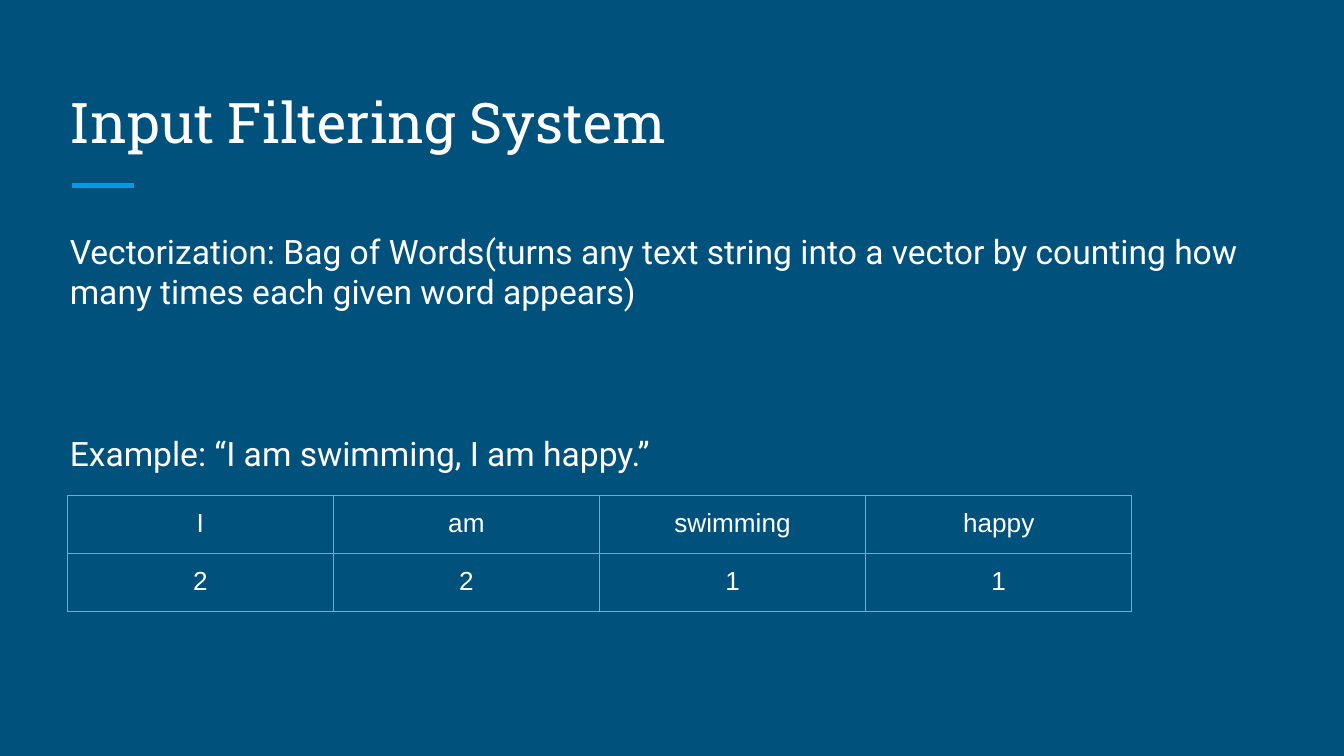
from dataclasses import dataclass

from lxml import etree
from pptx import Presentation
from pptx.dml.color import RGBColor
from pptx.enum.shapes import MSO_CONNECTOR
from pptx.enum.text import MSO_ANCHOR, PP_ALIGN
from pptx.oxml.ns import qn
from pptx.util import Cm, Pt

STRAIGHT = MSO_CONNECTOR.STRAIGHT
TOP, BOTTOM = MSO_ANCHOR.TOP, MSO_ANCHOR.BOTTOM
CENTER = PP_ALIGN.CENTER


@dataclass(frozen=True)
class Theme:
    background = RGBColor.from_string("00517C")
    text = RGBColor.from_string("FFFFFF")
    accent = RGBColor.from_string("039BE5")
    border = "9E9E9E"
    border_width = Pt(0.75)
    inset = Cm(0.25)
    title = {"name": "Roboto Slab", "size": Pt(30)}
    body = {"name": "Roboto", "size": Pt(18)}
    cell = {"name": "Arial", "size": Pt(14)}


THEME = Theme()


def set_insets(target):
    for side in ("left", "top", "right", "bottom"):
        setattr(target, f"margin_{side}", THEME.inset)


def write(p, text, style):
    r = p.add_run()
    r.text = text
    for name, value in style.items():
        setattr(r.font, name, value)
    r.font.color.rgb = THEME.text


def add_text(slide, box, paragraphs, style, anchor=TOP, gap=Pt(0)):
    """Place paragraphs in a box, with the gap before each one but the first."""
    tf = slide.shapes.add_textbox(*box).text_frame
    tf.word_wrap = True
    tf.vertical_anchor = anchor
    set_insets(tf)
    for i, text in enumerate(paragraphs):
        p = tf.add_paragraph() if i else tf.paragraphs[0]
        if i:
            p.space_before = gap
        write(p, text, style)


def add_title(slide, box, text):
    """Place the heading with its short accent rule below."""
    add_text(slide, box, [text], THEME.title, BOTTOM)
    left, top, _, height = box
    x, y = left + Cm(0.3), top + height + Cm(0.34)
    rule = slide.shapes.add_connector(STRAIGHT, x, y, x + Cm(1.17), y)
    rule.line.color.rgb = THEME.accent
    rule.line.width = Pt(3)
    etree.SubElement(rule._element.spPr, qn("a:effectLst"))


def add_borders(cell):
    tc_pr = cell._tc.get_or_add_tcPr()
    for i, side in enumerate(("lnL", "lnR", "lnT", "lnB")):
        ln = etree.Element(qn(f"a:{side}"), w=str(THEME.border_width))
        fill = etree.SubElement(ln, qn("a:solidFill"))
        etree.SubElement(fill, qn("a:srgbClr"), val=THEME.border)
        tc_pr.insert(i, ln)


def add_word_counts(slide, box, rows):
    table = slide.shapes.add_table(len(rows), len(rows[0]), *box).table
    table.first_row = table.horz_banding = False
    for r, row in enumerate(rows):
        for c, text in enumerate(row):
            cell = table.cell(r, c)
            cell.fill.background()
            set_insets(cell)
            add_borders(cell)
            p = cell.text_frame.paragraphs[0]
            p.alignment = CENTER
            write(p, text, THEME.cell)


def main():
    prs = Presentation()
    prs.slide_width, prs.slide_height = Cm(25.4), Cm(14.29)
    slide = prs.slides.add_slide(prs.slide_layouts[6])
    fill = slide.background.fill
    fill.solid()
    fill.fore_color.rgb = THEME.background

    add_title(slide, (Cm(1.07), Cm(1.27), Cm(23.24), Cm(1.9)),
              "Input Filtering System")
    add_text(slide, (Cm(1.07), Cm(4.11), Cm(22.94), Cm(5.74)), [
        "Vectorization: Bag of Words(turns any text string into a vector "
        "by counting how many times each given word appears)",
        "Example: “I am swimming, I am happy.”",
    ], THEME.body, gap=Pt(65))
    add_word_counts(slide, (Cm(1.27), Cm(9.37), Cm(20.12), Cm(2.16)), [
        ("I", "am", "swimming", "happy"),
        ("2", "2", "1", "1"),
    ])
    prs.save("out.pptx")


if __name__ == "__main__":
    main()
